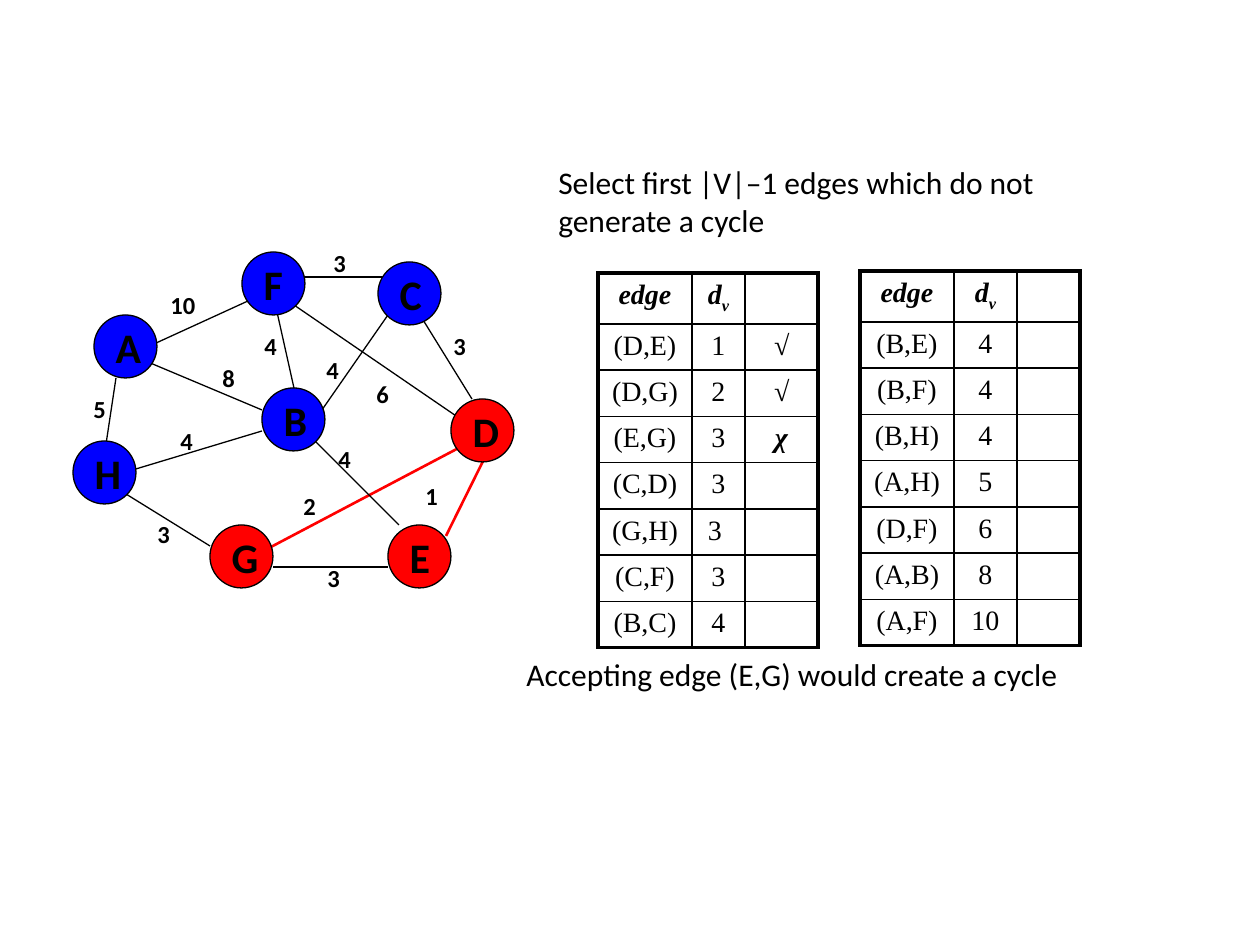
from lxml.etree import SubElement
from pptx import Presentation
from pptx.dml.color import RGBColor as RGB
from pptx.enum.shapes import MSO_CONNECTOR as CONNECTOR, MSO_SHAPE as SHAPE
from pptx.enum.text import MSO_ANCHOR as ANCHOR, PP_ALIGN as ALIGN
from pptx.oxml.ns import qn
from pptx.util import Pt

PX = 7257
COLORS = {"ink": "000000", "open": "0000FF", "reached": "FF0000"}
NODE_SIZE = 63
LABEL_HEIGHT = 42

deck = Presentation()
deck.slide_width, deck.slide_height = 1260 * PX, 945 * PX
slide = deck.slides.add_slide(deck.slide_layouts[6])
shapes = slide.shapes


def add_run(paragraph, text, size, font="Calibri", bold=False, italic=False):
    run = paragraph.add_run()
    run.text = text
    run.font.size = Pt(size)
    run.font.name = font
    run.font.bold = bold
    run.font.italic = italic
    run.font.color.rgb = RGB.from_string(COLORS["ink"])
    return run


def space_before(paragraph, percent):
    before = SubElement(paragraph._p.get_or_add_pPr(), qn("a:spcBef"))
    SubElement(before, qn("a:spcPct"), val=str(percent * 1000))


edges = [
    (498, 431, 446, 536, "reached"),
    (273, 294, 294, 388, "ink"),
    (315, 420, 388, 315, "ink"),
    (462, 420, 294, 305, "ink"),
    (126, 472, 262, 431, "ink"),
    (252, 557, 472, 441, "reached"),
    (105, 451, 116, 378, "ink"),
    (136, 357, 262, 410, "ink"),
    (300, 277, 384, 277, "ink"),
    (420, 315, 472, 399, "ink"),
    (315, 441, 399, 525, "ink"),
    (388, 567, 273, 567, "ink"),
    (210, 546, 126, 494, "ink"),
    (154, 344, 248, 301, "ink"),
]
for x1, y1, x2, y2, color in edges:
    edge = shapes.add_connector(CONNECTOR.STRAIGHT, x1 * PX, y1 * PX, x2 * PX, y2 * PX)
    edge.line.color.rgb = RGB.from_string(COLORS[color])
    edge.line.width = Pt(1.5 if color == "reached" else 0.75)
    SubElement(edge._element.spPr, qn("a:effectLst"))

nodes = [
    ("A", 94, 315, "open"),
    ("H", 73, 441, "open"),
    ("B", 262, 388, "open"),
    ("F", 242, 252, "open"),
    ("E", 388, 525, "reached"),
    ("D", 451, 399, "reached"),
    ("C", 378, 262, "open"),
    ("G", 210, 525, "reached"),
]
for letter, left, top, color in nodes:
    node = shapes.add_shape(SHAPE.OVAL, left * PX, top * PX, NODE_SIZE * PX, NODE_SIZE * PX)
    node.shadow.inherit = False
    node.fill.solid()
    node.fill.fore_color.rgb = RGB.from_string(COLORS[color])
    node.line.color.rgb = RGB.from_string(COLORS["ink"])
    node.line.width = Pt(0.75)
    frame = node.text_frame
    frame.word_wrap = False
    frame.vertical_anchor = ANCHOR.MIDDLE
    frame.paragraphs[0].alignment = ALIGN.LEFT
    add_run(frame.paragraphs[0], letter, 24, bold=True)

weights = [
    ("5", 81, 388, 42), ("1", 413, 475, 66), ("3", 315, 557, 42),
    ("2", 291, 485, 42), ("4", 326, 438, 66), ("6", 364, 373, 64),
    ("3", 441, 325, 42), ("4", 314, 349, 42), ("3", 321, 242, 42),
    ("4", 252, 325, 42), ("8", 210, 357, 42), ("4", 168, 420, 42),
    ("3", 145, 513, 42), ("10", 158, 284, 66),
]
captions = [(*weight, LABEL_HEIGHT, 14, True) for weight in weights] + [
    ("Select first |V|–1 edges which do not generate a cycle", 546, 157, 557, 97, 18, False),
    ("Accepting edge (E,G) would create a cycle", 514, 649, 640, 54, 18, False),
]
for text, left, top, width, height, size, bold in captions:
    caption = shapes.add_textbox(left * PX, top * PX, width * PX, height * PX)
    caption.text_frame.word_wrap = True
    paragraph = caption.text_frame.paragraphs[0]
    space_before(paragraph, 50)
    add_run(paragraph, text, size, bold=bold)

edge_lists = [
    (598, 273, (94, 53, 73), [
        ("(D,E)", "1", "√"), ("(D,G)", "2", "√"), ("(E,G)", "3", "χ"),
        ("(C,D)", "3", ""), ("(G,H)", "3 ", ""), ("(C,F)", "3", ""), ("(B,C)", "4", ""),
    ]),
    (860, 271, (94, 63, 63), [
        ("(B,E)", "4", ""), ("(B,F)", "4", ""), ("(B,H)", "4", ""),
        ("(A,H)", "5", ""), ("(D,F)", "6", ""), ("(A,B)", "8", ""), ("(A,F)", "10", ""),
    ]),
]
for left, top, widths, entries in edge_lists:
    rows = [("edge", "d", ""), *entries]
    heights = [51] + [46] * len(entries)
    table = shapes.add_table(len(rows), len(widths), left * PX, top * PX,
                             sum(widths) * PX, sum(heights) * PX).table
    table.first_row = table.horz_banding = False
    for column, width in zip(table.columns, widths):
        column.width = width * PX
    for r, values in enumerate(rows):
        table.rows[r].height = heights[r] * PX
        for c, value in enumerate(values):
            cell = table.cell(r, c)
            cell.fill.background()
            paragraph = cell.text_frame.paragraphs[0]
            paragraph.alignment = ALIGN.CENTER
            space_before(paragraph, 20)
            strong = r == 0 or c == 2
            if value:
                add_run(paragraph, value, 16, "Times New Roman", strong, strong)
            else:
                SubElement(paragraph._p, qn("a:endParaRPr"), sz="1600")
            if value == "d":
                subscript = add_run(paragraph, "v", 16, "Times New Roman", True, True)
                subscript.font._element.set("baseline", "-25000")
            tc_pr = cell._tc.get_or_add_tcPr()
            outer = {"L": c == 0, "R": c == 2, "T": r == 0, "B": r == len(rows) - 1}
            for place, (side, is_outer) in enumerate(outer.items()):
                border = SubElement(tc_pr, qn(f"a:ln{side}"), w=str(Pt(2.25 if is_outer else 1)))
                fill = SubElement(border, qn("a:solidFill"))
                SubElement(fill, qn("a:srgbClr"), val=COLORS["ink"])
                tc_pr.insert(place, border)

deck.save("out.pptx")
